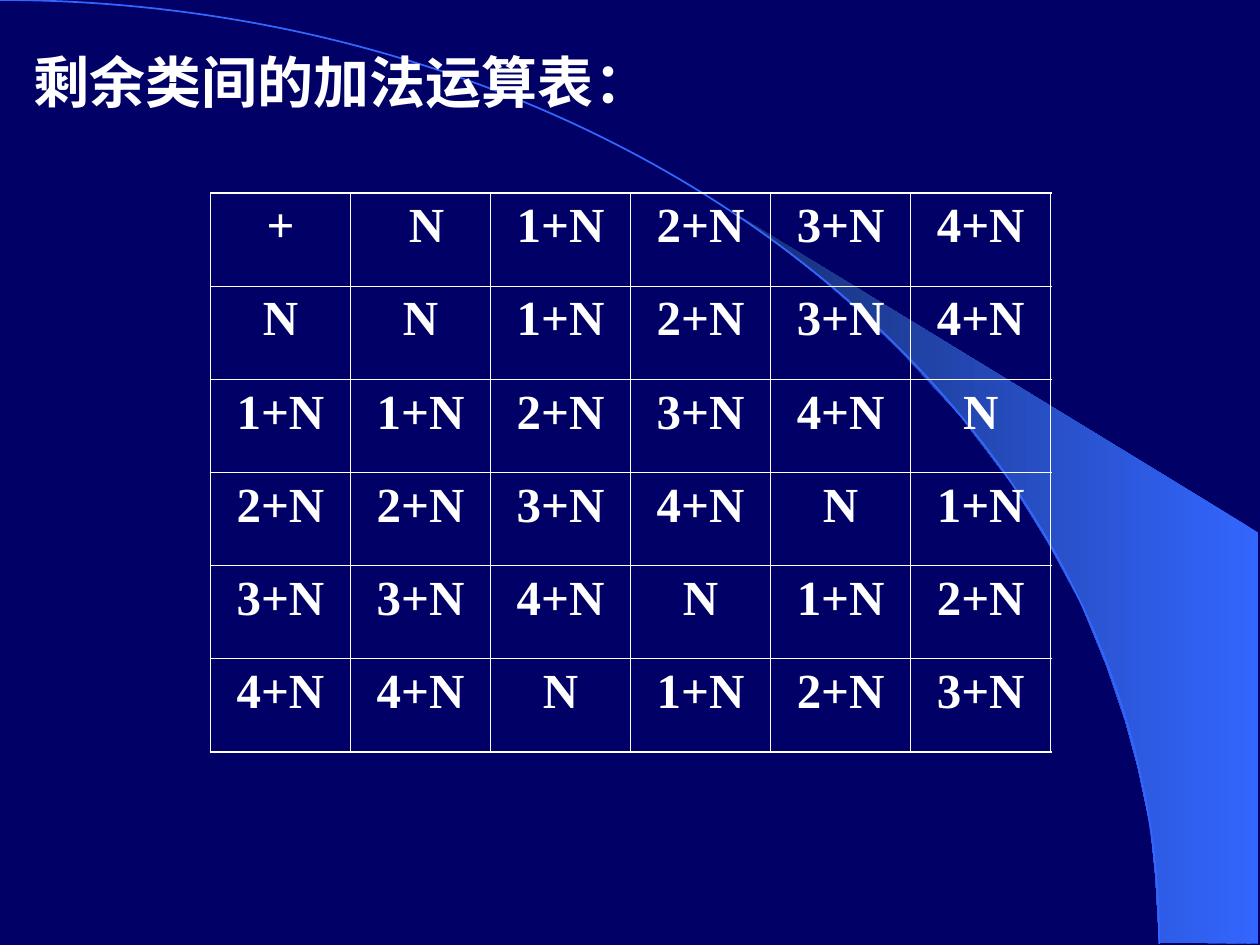
from lxml.etree import SubElement
from pptx import Presentation
from pptx.dml.color import RGBColor
from pptx.enum.shapes import MSO_SHAPE
from pptx.enum.text import PP_ALIGN
from pptx.oxml.ns import qn
from pptx.util import Inches, Pt

# Content
TITLE = "剩余类间的加法运算表："
CLASSES = ["N", "1+N", "2+N", "3+N", "4+N"]
HEADER = ["+", " N"] + CLASSES[1:]
ORDER = len(CLASSES)
ROWS = [HEADER] + [
    [CLASSES[i]] + [CLASSES[(i + j) % ORDER] for j in range(ORDER)]
    for i in range(ORDER)
]

# Style
FONT = "Times New Roman"
COLORS = {"background": "000066", "text": "FFFFFF", "border": "FFFFFF",
          "bright": "3366FF", "dark": "172F75"}
OUTER, INNER = Pt(1.08), Pt(0.45)
TABLE_BOX = (1.67, 1.53, 6.67, 4.44)
ARC_RADII = (9.2, 7.49)
BEAM = [
    (9.2, 7.48), (9.99, 7.49), (9.99, 4.23), (5.89, 1.73), (6.24, 1.99),
    (6.53, 2.22), (6.85, 2.5), (7.16, 2.8), (7.62, 3.3), (8.03, 3.84),
    (8.32, 4.31), (8.58, 4.79), (8.78, 5.28), (8.93, 5.72), (9.03, 6.09),
    (9.13, 6.56), (9.17, 6.96),
]


def color(name):
    return RGBColor.from_string(COLORS[name])


def style_text(paragraph, size):
    for run in paragraph.runs:
        run.font.name = FONT
        run.font.size = Pt(size)
        run.font.bold = True
        run.font.color.rgb = color("text")


def set_borders(cell, widths):
    properties = cell._tc.get_or_add_tcPr()
    for position, (side, width) in enumerate(widths.items()):
        line = SubElement(properties, qn(f"a:ln{side}"), w=str(width))
        fill = SubElement(line, qn("a:solidFill"))
        SubElement(fill, qn("a:srgbClr"), val=COLORS["border"])
        properties.insert(position, line)


prs = Presentation()
prs.slide_width, prs.slide_height = Inches(10), Inches(7.5)
slide = prs.slides.add_slide(prs.slide_layouts[6])
slide.background.fill.solid()
slide.background.fill.fore_color.rgb = color("background")

# Light beam
builder = slide.shapes.build_freeform(*map(Inches, BEAM[0]), scale=1.0)
builder.add_line_segments([(Inches(x), Inches(y)) for x, y in BEAM[1:]])
beam = builder.convert_to_shape()
beam.shadow.inherit = False
beam.line.fill.background()
beam.fill.gradient()
beam.fill.gradient_angle = 180
for stop, name in zip(beam.fill.gradient_stops, ("bright", "dark")):
    stop.color.rgb = color(name)

# Quarter arc, centred on the left edge
rx, ry = ARC_RADII
arc = slide.shapes.add_shape(MSO_SHAPE.ARC, Inches(-rx), 0,
                             Inches(2 * rx), Inches(2 * ry))
arc.shadow.inherit = False
arc.fill.background()
arc.line.color.rgb = color("bright")
arc.line.width = Pt(1)

# Title
title = slide.shapes.add_textbox(Inches(0.17), Inches(0.33),
                                 Inches(9.84), Inches(6.39))
title.text_frame.word_wrap = True
title.text_frame.text = TITLE
style_text(title.text_frame.paragraphs[0], 32)

# Addition table
size = len(ROWS)
last = size - 1
table = slide.shapes.add_table(size, size, *map(Inches, TABLE_BOX)).table
table.first_row = table.horz_banding = False
for r, row in enumerate(ROWS):
    for c, value in enumerate(row):
        cell = table.cell(r, c)
        cell.fill.background()
        set_borders(cell, {
            "L": OUTER if c == 0 else INNER,
            "R": OUTER if c == last else INNER,
            "T": OUTER if r == 0 else INNER,
            "B": OUTER if r == last else INNER,
        })
        paragraph = cell.text_frame.paragraphs[0]
        paragraph.text = value
        paragraph.alignment = PP_ALIGN.CENTER
        style_text(paragraph, 28)

prs.save("out.pptx")
